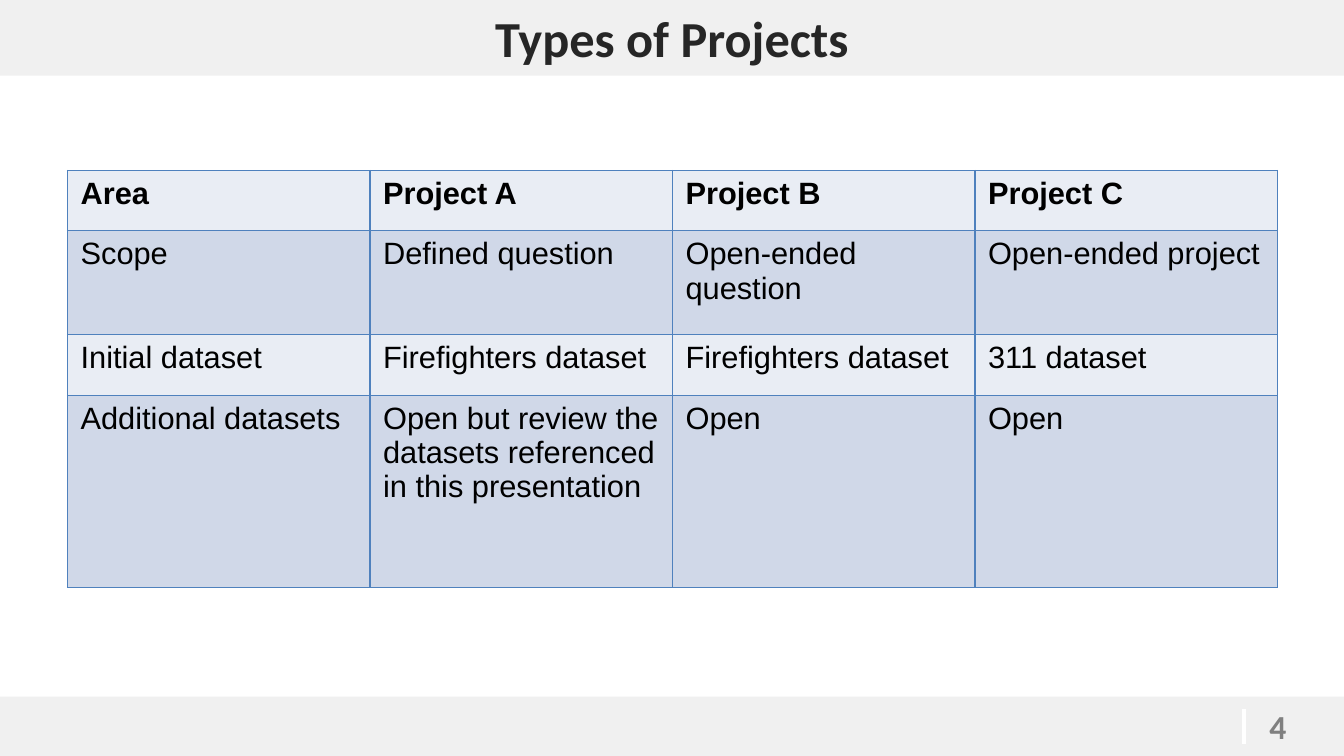
from lxml import etree
from pptx import Presentation
from pptx.dml.color import RGBColor
from pptx.enum.shapes import MSO_CONNECTOR, MSO_SHAPE
from pptx.enum.text import MSO_ANCHOR, PP_ALIGN
from pptx.oxml.ns import qn
from pptx.util import Inches, Pt

RECT = MSO_SHAPE.RECTANGLE
STRAIGHT = MSO_CONNECTOR.STRAIGHT
MIDDLE = MSO_ANCHOR.MIDDLE
CENTER = PP_ALIGN.CENTER

COLORS = {
    "band": "F0F0F0",
    "title": "262626",
    "number": "808080",
    "white": "FFFFFF",
    "text": "000000",
    "border": "4F81BD",
    "light": "E9EDF4",
    "dark": "D0D8E8",
}


def rgb(name):
    return RGBColor.from_string(COLORS[name])


def add_text(tf, text, color, **font):
    p = tf.paragraphs[0]
    r = p.add_run()
    r.text = text
    r.font.color.rgb = rgb(color)
    for key, value in font.items():
        setattr(r.font, key, value)
    return p


prs = Presentation()
prs.slide_width, prs.slide_height = Inches(13.33), Inches(7.5)
s = prs.slides.add_slide(prs.slide_layouts[6])

# Footer and title bands
bands = []
for top, height in ((6.91, 0.59), (0, 0.75)):
    sp = s.shapes.add_shape(RECT, 0, Inches(top), prs.slide_width, Inches(height))
    sp.shadow.inherit = False
    sp.fill.solid()
    sp.fill.fore_color.rgb = rgb("band")
    sp.line.fill.background()
    bands.append(sp)

# Title
tf = bands[1].text_frame
tf.vertical_anchor = MIDDLE
p = add_text(tf, "Types of Projects", "title", name="Calibri", size=Pt(36), bold=True)
p.alignment = CENTER

# Slide number and its divider
tf = s.shapes.add_textbox(Inches(12.49), Inches(6.95), Inches(0.92), Inches(0.5)).text_frame
tf.word_wrap = True
add_text(tf, "4", "number", name="Calibri", size=Pt(24), bold=True)

divider = s.shapes.add_connector(STRAIGHT, Inches(12.34), Inches(7.03), Inches(12.34), Inches(7.38))
divider.line.color.rgb = rgb("white")
divider.line.width = Pt(3)
etree.SubElement(divider._element.spPr, qn("a:effectLst"))

# Project table
rows = [
    ("Area", "Project A", "Project B", "Project C"),
    ("Scope", "Defined question", "Open-ended question", "Open-ended project"),
    ("Initial dataset", "Firefighters dataset", "Firefighters dataset", "311 dataset"),
    ("Additional datasets", "Open but review the datasets referenced in this presentation", "Open", "Open"),
]
row_heights = (0.6, 1.03, 0.6, 1.91)
margins = {
    "margin_left": Inches(0.13),
    "margin_right": Inches(0.13),
    "margin_top": Inches(0.06),
    "margin_bottom": Inches(0.06),
}
table = s.shapes.add_table(4, 4, Inches(0.67), Inches(1.69), Inches(12), Inches(4.14)).table

for i, (texts, height) in enumerate(zip(rows, row_heights)):
    table.rows[i].height = Inches(height)
    for j, text in enumerate(texts):
        cell = table.cell(i, j)
        for key, value in margins.items():
            setattr(cell, key, value)
        add_text(cell.text_frame, text, "text", name="Arial", size=Pt(22), bold=i == 0)

        # Borders come before the fill in the cell properties
        tcPr = cell._tc.get_or_add_tcPr()
        for side in ("a:lnL", "a:lnR", "a:lnT", "a:lnB"):
            ln = etree.SubElement(tcPr, qn(side), w=str(Pt(1)))
            fill = etree.SubElement(ln, qn("a:solidFill"))
            etree.SubElement(fill, qn("a:srgbClr"), val=COLORS["border"])
        cell.fill.solid()
        cell.fill.fore_color.rgb = rgb("dark" if i % 2 else "light")

prs.save("out.pptx")
